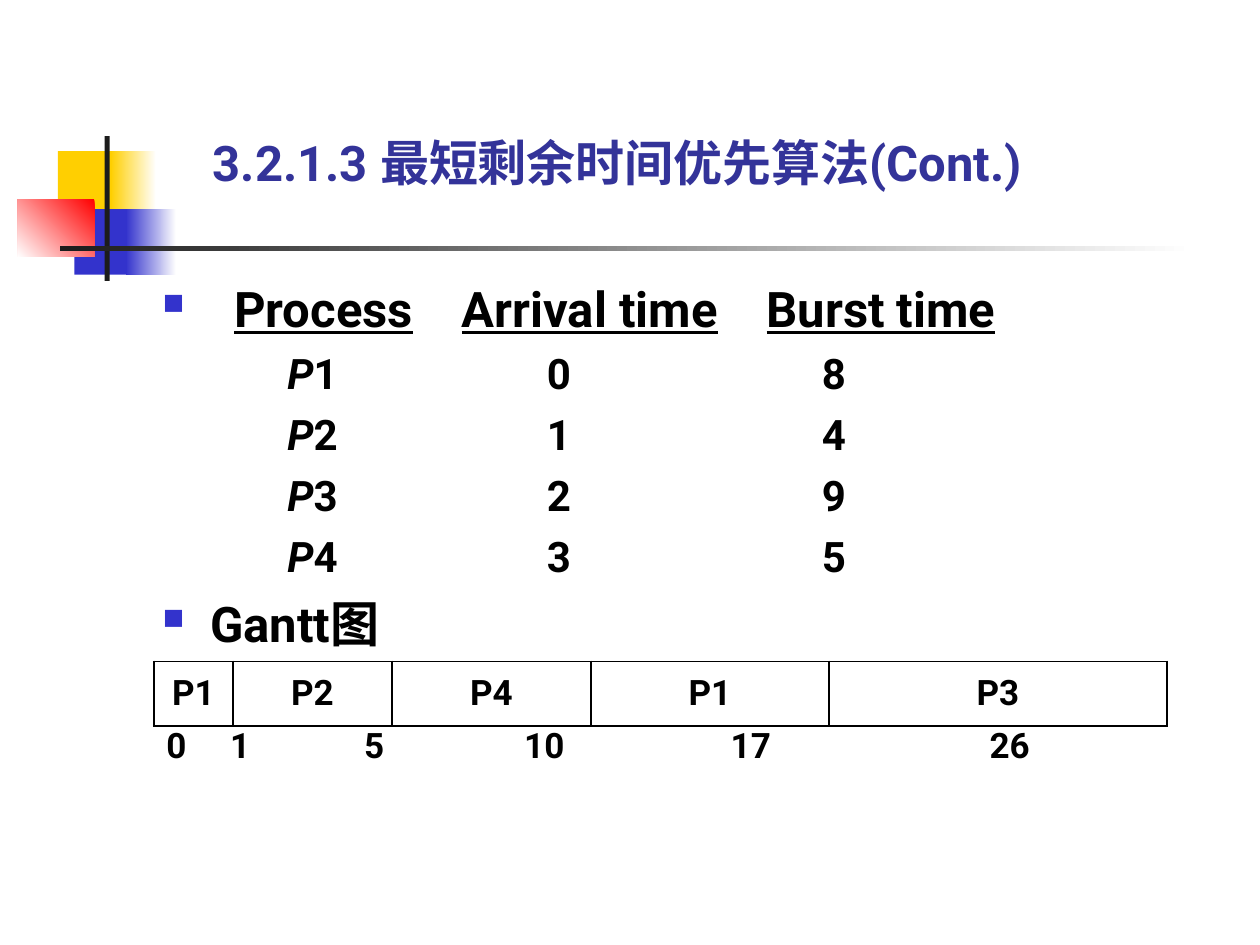
import pptx
import pptx.util
import pptx.dml.color
import pptx.enum.text
import pptx.enum.shapes
import pptx.oxml
import pptx.oxml.ns

Inches, Pt = pptx.util.Inches, pptx.util.Pt
ANCHOR, ALIGN = pptx.enum.text.MSO_ANCHOR, pptx.enum.text.PP_ALIGN
NS = pptx.oxml.ns.nsdecls("a")

TITLE = "3.2.1.3 最短剩余时间优先算法(Cont.)"
HEADERS = ["Process", "Arrival time", "Burst time"]
PROCESSES = [("1", "0", "8"), ("2", "1", "4"), ("3", "2", "9"), ("4", "3", "5")]
GANTT_HEADING = "Gantt图"
GANTT = [("P1", 0.63), ("P2", 1.26), ("P4", 1.58), ("P1", 1.89), ("P3", 2.68)]
TIMES = ["0", "1", "5", "10", "17", "26"]
HEADER_GAPS = [28, 28]
PROCESS_GAPS = [119.5, 143.5]
TIME_GAPS = [25, 65, 80, 95, 125]
ROW_HEIGHTS = [0.51, 0.35]
BORDERS = ["LRTB", "T"]
DECOR = [
    ((0.46, 1.2, 0.48, 0.52), ["FFCF01"], 0),
    ((0.88, 1.2, 0.36, 0.52), ["FFFFFF", "FFCF01"], 180),
    ((0.59, 1.66, 0.46, 0.52), ["3333CC"], 0),
    ((1, 1.66, 0.4, 0.52), ["FFFFFF", "3333CC"], 180),
    ((0.14, 1.58, 0.61, 0.46), ["FF0000", "FFFFFF"], 225),
    ((0.83, 1.08, 0.04, 1.15), ["1C1C1C"], 0),
    ((0.48, 1.95, 9, 0.04), ["FFFFFF", "1C1C1C"], 180),
]


def rgb(color):
    return pptx.dml.color.RGBColor.from_string(color)


def add_run(p, text, size, color="000000", bold=True, italic=False, underline=False):
    r = p.add_run()
    r.text = text
    f = r.font
    f.name, f.size, f.color.rgb = "Roboto", Pt(size), rgb(color)
    f.bold, f.italic, f.underline = bold, italic, underline
    return r


def add_spaced(p, texts, gaps, size, underline=False):
    add_run(p, texts[0], size, underline=underline)
    for text, gap in zip(texts[1:], gaps):
        space = add_run(p, " ", size)
        space._r.get_or_add_rPr().set("spc", str(round((gap - size / 4) * 100)))
        add_run(p, text, size, underline=underline)


def add_xml(parent, xml):
    parent.append(pptx.oxml.parse_xml(xml))


def set_indent(p, left, first):
    pPr = p._p.get_or_add_pPr()
    pPr.set("marL", str(Inches(left)))
    pPr.set("indent", str(Inches(first)))
    return pPr


def set_bullet(p, indent):
    pPr = set_indent(p, indent, -indent)
    add_xml(pPr, f'<a:buClr {NS}><a:srgbClr val="3333CC"/></a:buClr>')
    add_xml(pPr, f'<a:buSzPct {NS} val="60000"/>')
    add_xml(pPr, f'<a:buFont {NS} typeface="Wingdings" charset="2"/>')
    add_xml(pPr, f'<a:buChar {NS} char="n"/>')


def set_frame(tf, anchor):
    tf.word_wrap = True
    tf.vertical_anchor = anchor
    tf.margin_left = tf.margin_right = tf.margin_top = tf.margin_bottom = 0


def set_borders(cell, sides):
    tcPr = cell._tc.get_or_add_tcPr()
    for i, side in enumerate("LRTB"):
        fill = '<a:solidFill><a:srgbClr val="000000"/></a:solidFill>' if side in sides else "<a:noFill/>"
        tcPr.insert(i, pptx.oxml.parse_xml(f'<a:ln{side} {NS} w="{Pt(1.08)}">{fill}</a:ln{side}>'))


def add_decor(s):
    for box, colors, angle in DECOR:
        sp = s.shapes.add_shape(pptx.enum.shapes.MSO_SHAPE.RECTANGLE, *map(Inches, box))
        sp.shadow.inherit = False
        sp.line.fill.background()
        if len(colors) == 1:
            sp.fill.solid()
            sp.fill.fore_color.rgb = rgb(colors[0])
        else:
            sp.fill.gradient()
            sp.fill.gradient_angle = angle
            for stop, color, position in zip(sp.fill.gradient_stops, colors, (0, 1)):
                stop.color.rgb = rgb(color)
                stop.position = position


def add_title(s):
    sp = s.shapes.title
    sp.left, sp.top, sp.width, sp.height = map(Inches, (1.69, 1.05, 7.05, 0.47))
    set_frame(sp.text_frame, ANCHOR.BOTTOM)
    p = sp.text_frame.paragraphs[0]
    p.alignment = ALIGN.LEFT
    add_run(p, TITLE, 28, "333399")


def add_body(s):
    tf = s.shapes.add_textbox(*map(Inches, (1.29, 2.21, 7.57, 2.97))).text_frame
    set_frame(tf, ANCHOR.TOP)
    p = tf.paragraphs[0]
    set_bullet(p, 0.57)
    add_spaced(p, HEADERS, HEADER_GAPS, 28, underline=True)
    for values in PROCESSES:
        p = tf.add_paragraph()
        set_indent(p, 0.99, 0)
        p.space_before = Pt(6)
        add_run(p, "P", 24, italic=True)
        add_spaced(p, values, PROCESS_GAPS, 24)
    p = tf.add_paragraph()
    set_bullet(p, 0.38)
    p.space_before = Pt(7)
    add_run(p, GANTT_HEADING, 28)


def add_gantt(s):
    widths = [width for _, width in GANTT]
    box = (1.22, 5.25, sum(widths), sum(ROW_HEIGHTS))
    table = s.shapes.add_table(2, len(GANTT), *map(Inches, box)).table
    table.first_row = table.horz_banding = False
    for column, width in zip(table.columns, widths):
        column.width = Inches(width)
    for row, height, sides in zip(table.rows, ROW_HEIGHTS, BORDERS):
        row.height = Inches(height)
        for cell in row.cells:
            cell.fill.background()
            cell.vertical_anchor = ANCHOR.MIDDLE
            set_borders(cell, sides)
    for i, (name, _) in enumerate(GANTT):
        p = table.cell(0, i).text_frame.paragraphs[0]
        p.alignment = ALIGN.CENTER
        add_run(p, name, 20)
    scale = table.cell(1, 0)
    scale.merge(table.cell(1, len(GANTT) - 1))
    p = scale.text_frame.paragraphs[0]
    p.line_spacing = 0.8
    add_spaced(p, TIMES, TIME_GAPS, 20)


def main():
    prs = pptx.Presentation()
    prs.slide_width, prs.slide_height = Inches(10), Inches(7.5)
    s = prs.slides.add_slide(prs.slide_layouts[5])
    add_decor(s)
    add_title(s)
    add_body(s)
    add_gantt(s)
    prs.save("out.pptx")


if __name__ == "__main__":
    main()
